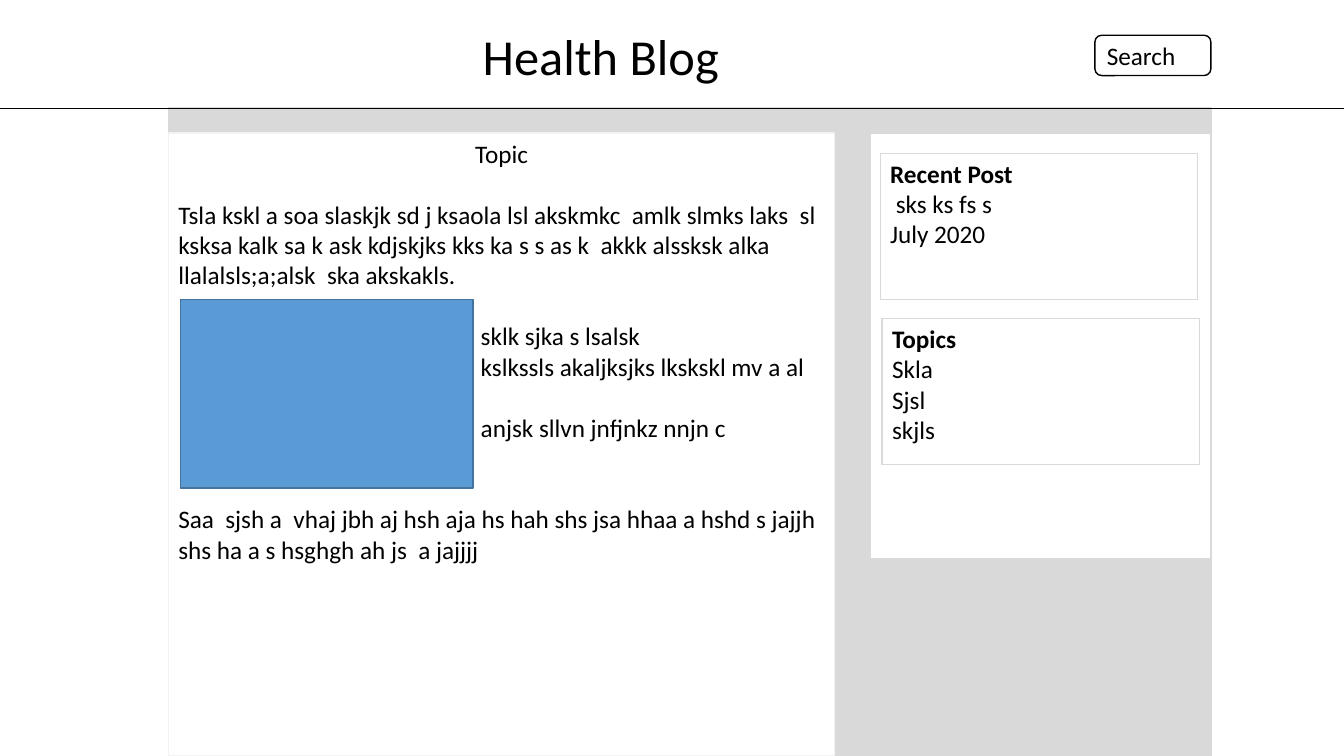
from dataclasses import dataclass

from lxml.etree import SubElement
from pptx import Presentation
from pptx.dml.color import RGBColor
from pptx.enum.shapes import MSO_CONNECTOR as Connector, MSO_SHAPE as Preset
from pptx.enum.text import MSO_ANCHOR as Anchor, PP_ALIGN as Align
from pptx.oxml.ns import qn
from pptx.util import Inches, Pt


@dataclass(frozen=True)
class Theme:
    """Colours, font and type sizes of the blog."""
    paper: str = "FFFFFF"
    ink: str = "000000"
    backdrop: str = "D9D9D9"
    article_edge: str = "F2F2F2"
    photo: str = "5B9BD5"
    photo_edge: str = "43739E"
    font: str = "Calibri"
    title: int = 36
    body: int = 18
    body_line: int = 22


@dataclass(frozen=True)
class Box:
    """A rectangle in EMU."""
    left: int
    top: int
    width: int
    height: int

    def share(self, left, top, width, height):
        """Return an inner box given in percent of this one."""
        return Box(self.left + round(self.width * left / 100),
                   self.top + round(self.height * top / 100),
                   round(self.width * width / 100),
                   round(self.height * height / 100))

    def bounds(self):
        """Return left, top, width and height."""
        return self.left, self.top, self.width, self.height


@dataclass(frozen=True)
class Para:
    """A paragraph; gap counts the empty lines above it."""
    text: str
    bold: bool = False
    align: Align = Align.LEFT
    gap: int = 0
    indent: float = 0


THEME = Theme()


def colour(code):
    """Turn a hex code into a colour."""
    return RGBColor.from_string(code)


def write(frame, paras, size=THEME.body, anchor=Anchor.TOP):
    """Fill a text frame with paragraphs."""
    frame.word_wrap = True
    frame.vertical_anchor = anchor
    for number, para in enumerate(paras):
        line = frame.add_paragraph() if number else frame.paragraphs[0]
        line.alignment = para.align
        line.space_before = Pt(para.gap * THEME.body_line)
        if para.indent:
            line._p.get_or_add_pPr().set("marL", str(Inches(para.indent)))
        run = line.add_run()
        run.text = para.text
        run.font.name = THEME.font
        run.font.size = Pt(size)
        run.font.bold = para.bold
        run.font.color.rgb = colour(THEME.ink)


def panel(slide, box, fill, edge, preset=Preset.RECTANGLE):
    """Draw a flat outlined panel and return it."""
    area = slide.shapes.add_shape(preset, *box.bounds())
    area.shadow.inherit = False
    area.fill.solid()
    area.fill.fore_color.rgb = colour(fill)
    area.line.color.rgb = colour(edge)
    area.line.width = Pt(1)
    return area


def header(slide, box):
    """Place the rule, blog title and search field."""
    base = box.top + box.height
    rule = slide.shapes.add_connector(
        Connector.STRAIGHT, box.left, base, box.left + box.width, base)
    rule.line.color.rgb = colour(THEME.ink)
    rule.line.width = Pt(0.5)
    SubElement(rule._element.spPr, qn("a:effectLst"))
    title = slide.shapes.add_textbox(*box.share(35.18, 18.69, 30.31, 66.36).bounds())
    write(title.text_frame, [Para("Health Blog")], THEME.title)
    search = panel(slide, box.share(81.47, 32.71, 8.63, 37.38),
                   THEME.paper, THEME.ink, Preset.ROUNDED_RECTANGLE)
    write(search.text_frame, [Para("Search ")], anchor=Anchor.MIDDLE)


def sidebar(slide, box):
    """Place the sidebar with its two cards."""
    panel(slide, box, THEME.paper, THEME.backdrop)
    cards = [
        (2.96, 4.74, "Recent Post", [" sks ks fs s", "July 2020"]),
        (3.55, 43.6, "Topics", ["Skla", "Sjsl", "skjls"]),
    ]
    for left, top, heading, entries in cards:
        card = panel(slide, box.share(left, top, 93.2, 34.36),
                     THEME.paper, THEME.backdrop)
        write(card.text_frame,
              [Para(heading, bold=True), *map(Para, entries)])


def article(slide, box):
    """Place the article text and its photo block."""
    post = panel(slide, box, THEME.paper, THEME.article_edge)
    write(post.text_frame, [
        Para("Topic", align=Align.CENTER),
        Para("Tsla kskl a soa slaskjk sd j ksaola lsl akskmkc  amlk slmks laks  sl "
             "ksksa kalk sa k ask kdjskjks kks ka s s as k  akkk alssksk alka "
             "llalalsls;a;alsk  ska akskakls.", gap=1),
        Para("sklk sjka s lsalsk ", gap=1, indent=3),
        Para("kslkssls akaljksjks lkskskl mv a al", indent=3),
        Para("anjsk sllvn jnfjnkz nnjn c", gap=1, indent=3),
        Para("Saa  sjsh a  vhaj jbh aj hsh aja hs hah shs jsa hhaa a hshd s jajjh "
             "shs ha a s hsghgh ah js  a jajjjj", gap=2),
    ])
    panel(slide, box.share(1.82, 26.7, 43.87, 30.26), THEME.photo, THEME.photo_edge)


def blog_page(slide, box):
    """Lay out the whole blog page."""
    content = box.share(12.53, 14.27, 77.57, 85.73)
    panel(slide, content, THEME.backdrop, THEME.backdrop)
    header(slide, box.share(0, 0, 100, 14.27))
    sidebar(slide, content.share(67.31, 3.89, 32.69, 65.63))
    article(slide, content.share(0, 3.89, 63.93, 96.11))


deck = Presentation()
deck.slide_width = Inches(13.33)
deck.slide_height = Inches(7.5)
blog_page(deck.slides.add_slide(deck.slide_layouts[6]),
          Box(0, 0, deck.slide_width, deck.slide_height))
deck.save("out.pptx")
